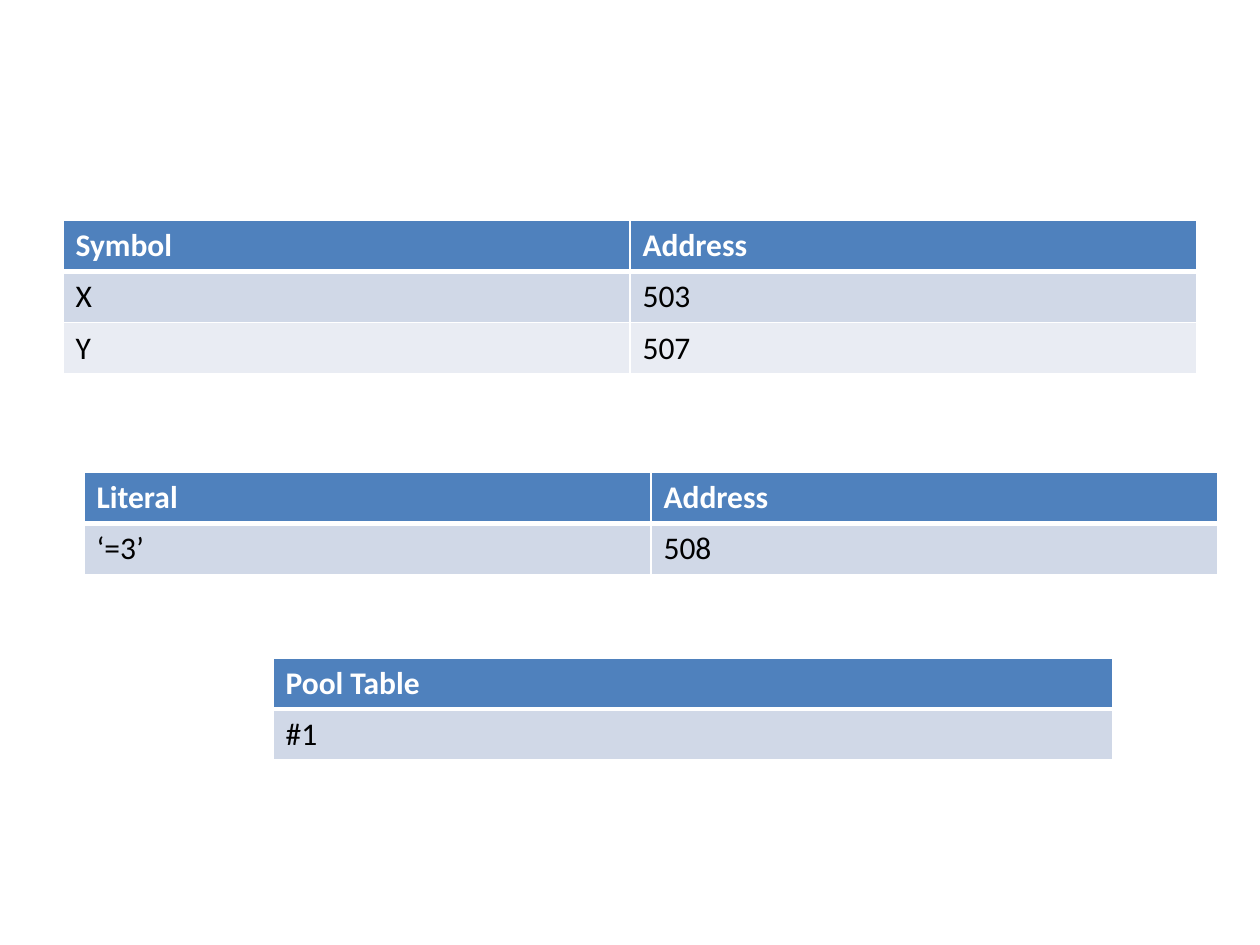
from lxml.etree import SubElement
from pptx import Presentation
from pptx.dml.color import RGBColor
from pptx.oxml.ns import qn
from pptx.util import Inches, Pt

WIDTH, HEIGHT = 10, 7.5
GRID_COLUMNS = 60
ROW_HEIGHT = 2.43
WHITE, BLACK, HEADER = "FFFFFF", "000000", "4F81BD"
BANDS = ("D0D8E7", "E9ECF3")
THIN, THICK = 0.96, 3


def color(value):
    """Turn a hex string into a colour."""
    return RGBColor.from_string(value)


def grid(units):
    """Turn grid units into a length."""
    return Inches(units * WIDTH / GRID_COLUMNS)


def add_text(tf, text, size=18, font="Calibri", fill=BLACK, bold=False):
    """Write one formatted run into a text frame."""
    r = tf.paragraphs[0].add_run()
    r.text = text
    r.font.size = Pt(size)
    r.font.name = font
    r.font.bold = bold
    r.font.color.rgb = color(fill)


def set_borders(cell, **widths):
    """Draw white borders on the sides named L, R, T and B, in that order."""
    tcPr = cell._tc.get_or_add_tcPr()
    for side, width in widths.items():
        ln = SubElement(tcPr, qn(f"a:ln{side}"), w=str(Pt(width)))
        fill = SubElement(ln, qn("a:solidFill"))
        SubElement(fill, qn("a:srgbClr"), val=WHITE)


def style_cell(cell, text, row):
    """Fill a cell as a header or as part of a banded body."""
    header = row == 0
    set_borders(cell, L=THIN, R=THIN, T=THICK if row == 1 else THIN,
                B=THICK if header else THIN)
    cell.fill.solid()
    cell.fill.fore_color.rgb = color(HEADER if header else BANDS[(row - 1) % 2])
    add_text(cell.text_frame, text, fill=WHITE if header else BLACK, bold=header)


def add_data_table(s, left, top, width, rows):
    """Add a table with equal columns, placed in grid units."""
    table = s.shapes.add_table(len(rows), len(rows[0]), grid(left), grid(top),
                               grid(width), grid(ROW_HEIGHT * len(rows))).table
    for column in table.columns:
        column.width = grid(width / len(rows[0]))
    for i, values in enumerate(rows):
        table.rows[i].height = grid(ROW_HEIGHT)
        for j, text in enumerate(values):
            style_cell(table.cell(i, j), text, i)


def main():
    """Build the slide with the symbol, literal and pool tables."""
    prs = Presentation()
    prs.slide_width, prs.slide_height = Inches(WIDTH), Inches(HEIGHT)
    s = prs.slides.add_slide(prs.slide_layouts[6])
    add_data_table(s, 3, 10.5, 54, [("Symbol", "Address"), ("X", "503"), ("Y", "507")])
    add_data_table(s, 4, 22.5, 54, [("Literal", "Address"), ("‘=3’", "508")])
    add_data_table(s, 13, 31.33, 40, [("Pool Table",), ("#1",)])
    prs.save("out.pptx")


if __name__ == "__main__":
    main()
